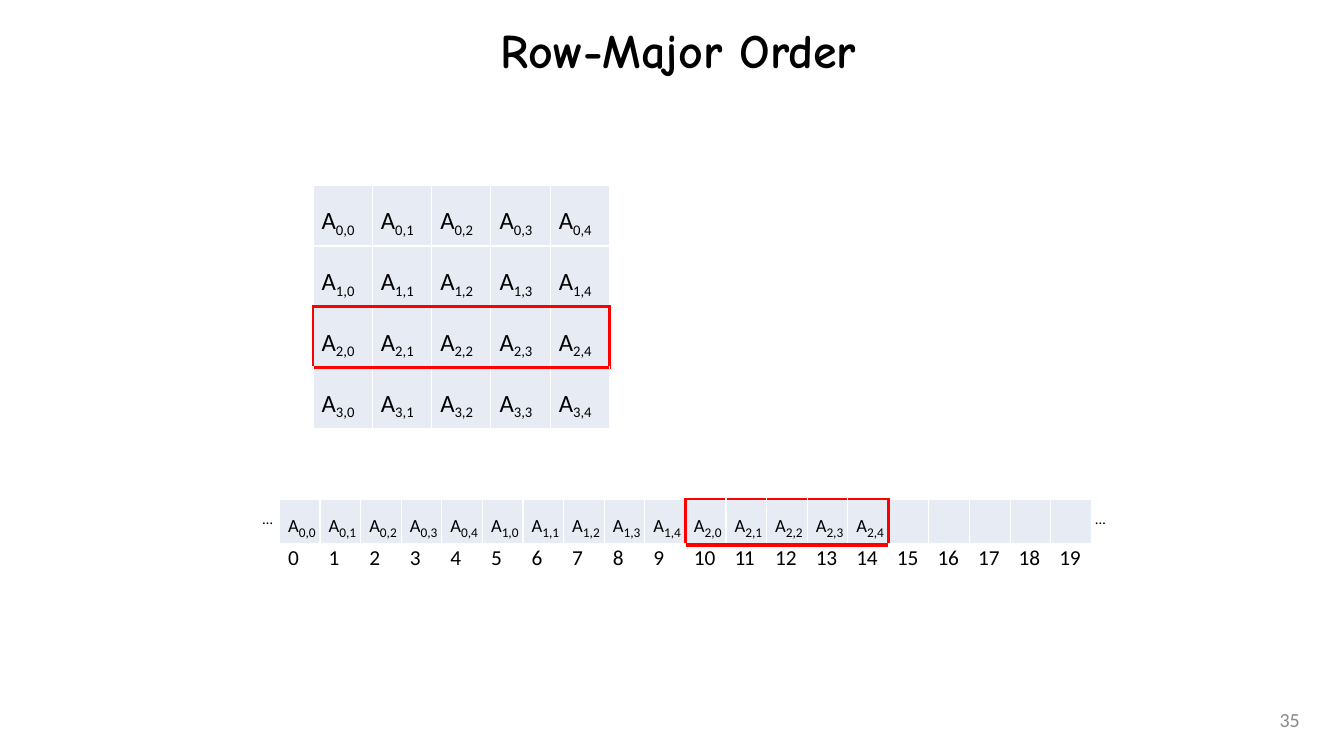
import lxml.etree
import pptx
import pptx.dml.color
import pptx.enum.text
import pptx.oxml.ns
import pptx.util

BLACK = pptx.dml.color.RGBColor(0x00, 0x00, 0x00)
WHITE = pptx.dml.color.RGBColor(0xFF, 0xFF, 0xFF)
RED = pptx.dml.color.RGBColor(0xFF, 0x00, 0x00)
GREY = pptx.dml.color.RGBColor(0x89, 0x89, 0x89)
PALE_BLUE = pptx.dml.color.RGBColor(0xE7, 0xEB, 0xF3)
ALIGN = pptx.enum.text.PP_ALIGN
MIDDLE = pptx.enum.text.MSO_ANCHOR.MIDDLE
ROWS, COLUMNS, SLOTS = 4, 5, 20
MARKED_ROW = 2


def write(paragraph, text, size, font="Calibri", color=BLACK, bold=False,
          align=None, baseline=None, spacing=None):
    run = paragraph.add_run()
    run.text = text
    run.font.size = pptx.util.Pt(size)
    run.font.name = font
    run.font.bold = bold
    run.font.color.rgb = color
    if align is not None:
        paragraph.alignment = align
    properties = run._r.get_or_add_rPr()
    if baseline is not None:
        properties.set("baseline", str(baseline * 1000))
    if spacing is not None:
        properties.set("spc", str(round(spacing * 100)))


class SlideBuilder:
    """Places styled elements on one slide, measured in percent of its size."""

    def __init__(self, presentation):
        self.width = presentation.slide_width
        self.height = presentation.slide_height
        self.slide = presentation.slides.add_slide(presentation.slide_layouts[5])

    def area(self, left, top, width, height):
        return (round(left * self.width / 100), round(top * self.height / 100),
                round(width * self.width / 100), round(height * self.height / 100))

    def fill_frame(self, frame, text, inset, anchor, **style):
        frame.word_wrap = True
        frame.vertical_anchor = anchor
        frame.margin_left = frame.margin_right = pptx.util.Inches(inset)
        frame.margin_top = frame.margin_bottom = pptx.util.Inches(inset / 2)
        write(frame.paragraphs[0], text, **style)

    def title(self, text, area):
        heading = self.slide.shapes.title
        heading.left, heading.top, heading.width, heading.height = self.area(*area)
        self.fill_frame(heading.text_frame, text, 0.12, MIDDLE, size=36,
                        font="Comic Neue", bold=True, align=ALIGN.CENTER)

    def label(self, text, area, inset=0, anchor=None, **style):
        box = self.slide.shapes.add_textbox(*self.area(*area))
        self.fill_frame(box.text_frame, text, inset, anchor, **style)

    def table(self, rows, columns, area):
        table = self.slide.shapes.add_table(rows, columns, *self.area(*area)).table
        table.first_row = table.horz_banding = False
        return table

    def cell(self, cell, borders, fill=None, top_margin=0):
        for side, (color, width) in borders.items():
            line = lxml.etree.SubElement(
                cell._tc.get_or_add_tcPr(), pptx.oxml.ns.qn(f"a:ln{side}"),
                w=str(pptx.util.Pt(width)))
            solid = lxml.etree.SubElement(line, pptx.oxml.ns.qn("a:solidFill"))
            lxml.etree.SubElement(solid, pptx.oxml.ns.qn("a:srgbClr"), val=str(color))
        if fill is None:
            cell.fill.background()
        else:
            cell.fill.solid()
            cell.fill.fore_color.rgb = fill
        cell.margin_left = cell.margin_right = cell.margin_bottom = 0
        cell.margin_top = pptx.util.Inches(top_margin)
        paragraph = cell.text_frame.paragraphs[0]
        paragraph._p.get_or_add_pPr().set("marL", str(pptx.util.Inches(0.09)))
        return paragraph

    def element(self, paragraph, row, column, letter_size, index_size):
        write(paragraph, "A", letter_size, baseline=13)
        write(paragraph, str(row), index_size)
        write(paragraph, ",", index_size, spacing=-0.1)
        write(paragraph, str(column), index_size)


def cell_borders(row, column, marked, divider=None):
    neighbours = {"L": (row, column - 1), "R": (row, column + 1),
                  "T": (row - 1, column), "B": (row + 1, column)}
    borders = {}
    for side, neighbour in neighbours.items():
        outlined = ((row, column) in marked) != (neighbour in marked)
        on_divider = (row, side) in ((0, "B"), (1, "T"))
        color, width = (RED, 2.25) if outlined else (WHITE, 1)
        if divider and on_divider:
            width = divider[outlined]
        borders[side] = (color, width)
    return borders


def add_matrix(builder):
    matrix = builder.table(ROWS, COLUMNS, (23.29, 24.49, 22.07, 26.5))
    marked = {(MARKED_ROW, column) for column in range(COLUMNS)}
    for row in range(ROWS):
        for column in range(COLUMNS):
            paragraph = builder.cell(matrix.cell(row, column),
                                     cell_borders(row, column, marked), PALE_BLUE, 0.1)
            builder.element(paragraph, row, column, 32, 11)


def add_memory(builder):
    memory = builder.table(2, SLOTS, (20.79, 66, 60.43, 11.04))
    first = MARKED_ROW * COLUMNS
    marked = {(0, slot) for slot in range(first, first + COLUMNS)}
    for slot in range(SLOTS):
        value, address = (
            builder.cell(memory.cell(row, slot),
                         cell_borders(row, slot, marked, (3.16, 3.78)), fill, margin)
            for row, fill, margin in ((0, PALE_BLUE, 0.08), (1, None, 0)))
        if slot < first + COLUMNS:
            builder.element(value, *divmod(slot, COLUMNS), 24, 10)
        write(address, str(slot), 16,
              spacing=-1.2 if slot == 11 else -0.1 if slot >= 10 else None)


def main():
    presentation = pptx.Presentation()
    presentation.slide_width = pptx.util.Inches(14)
    presentation.slide_height = pptx.util.Inches(7.88)
    builder = SlideBuilder(presentation)
    builder.title("Row-Major Order", (11.79, 1, 77.36, 11.04))
    for left in (19.54, 81.5):
        builder.label("…", (left, 67.5, 1.21, 2.4), size=11)
    add_matrix(builder)
    add_memory(builder)
    builder.label("35", (74.21, 92.5, 23.36, 5.33), inset=0.12, anchor=MIDDLE,
                  size=15, color=GREY, align=ALIGN.RIGHT)
    presentation.save("out.pptx")


if __name__ == "__main__":
    main()
